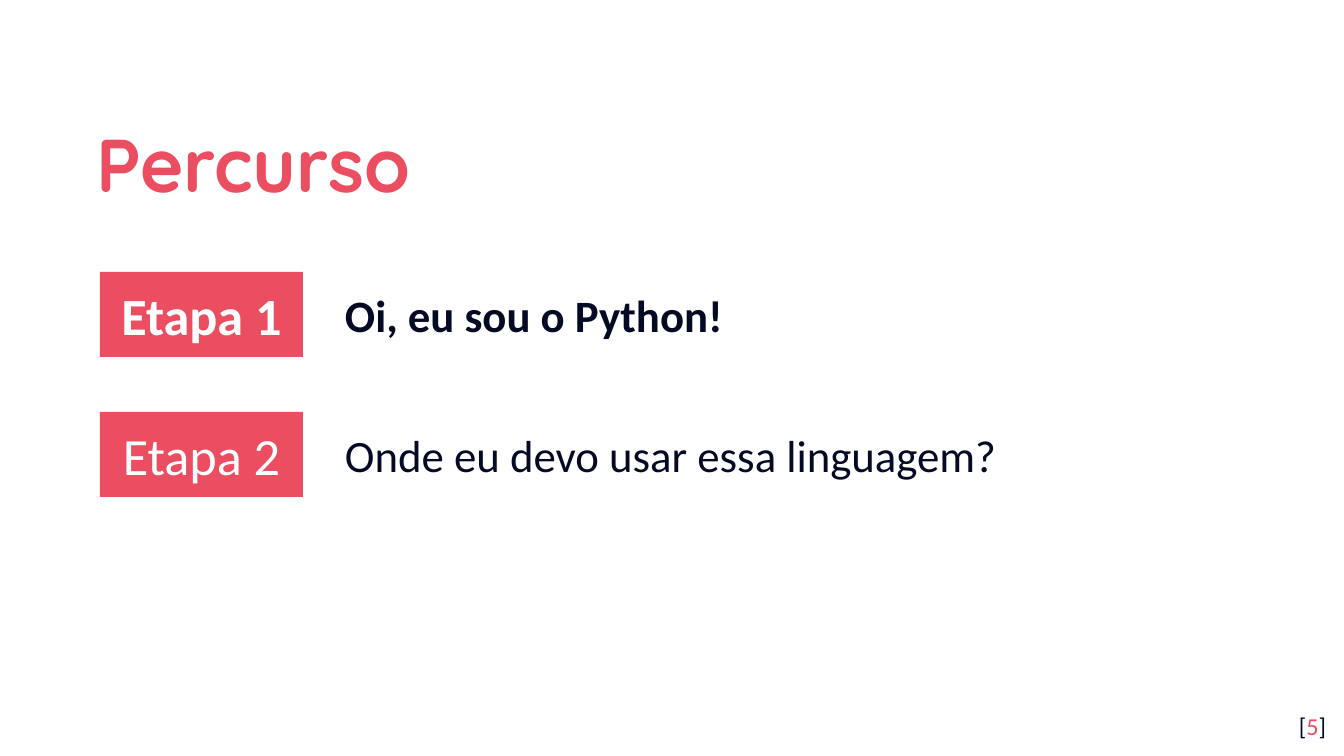
from dataclasses import dataclass

from pptx import Presentation
from pptx.dml.color import RGBColor
from pptx.enum.shapes import MSO_SHAPE
from pptx.enum.text import MSO_ANCHOR, PP_ALIGN
from pptx.util import Emu, Pt


@dataclass(frozen=True)
class Theme:
    coral: str = "EA4E60"
    navy: str = "040A24"
    white: str = "FFFFFF"
    heading_font: str = "Quicksand"
    body_font: str = "Calibri"
    title_size: int = 40
    badge_size: int = 28
    topic_size: int = 24
    number_size: int = 13


theme = Theme()
EMU_PER_PX = 914400 / 134.4


def px(*lengths):
    return [Emu(round(length * EMU_PER_PX)) for length in lengths]


def write(text, *, box, size, color=theme.navy, font=theme.body_font, bold=False,
          fill=None, align=PP_ALIGN.LEFT, anchor=MSO_ANCHOR.TOP, inset=13, spacing=None):
    if fill:
        holder = slide.shapes.add_shape(MSO_SHAPE.RECTANGLE, *px(*box))
        holder.shadow.inherit = False
        holder.fill.solid()
        holder.fill.fore_color.rgb = RGBColor.from_string(fill)
        holder.line.fill.background()
    else:
        holder = slide.shapes.add_textbox(*px(*box))
    frame = holder.text_frame
    frame.word_wrap = True
    frame.vertical_anchor = anchor
    frame.margin_left, frame.margin_right = px(13, 13)
    frame.margin_top, frame.margin_bottom = px(inset, inset)
    paragraph = frame.paragraphs[0]
    paragraph.alignment = align
    if spacing:
        paragraph.line_spacing = spacing
    pieces = [(text, color)] if isinstance(text, str) else text
    for words, tint in pieces:
        run = paragraph.add_run()
        run.text = words
        run.font.name = font
        run.font.size = Pt(size)
        run.font.bold = bold
        run.font.color.rgb = RGBColor.from_string(tint)


deck = Presentation()
deck.slide_width, deck.slide_height = px(1344, 756)
slide = deck.slides.add_slide(deck.slide_layouts[6])
slide.background.fill.solid()
slide.background.fill.fore_color.rgb = RGBColor.from_string(theme.white)

write("Percurso", box=(83, 94, 1089, 124), size=theme.title_size, color=theme.coral,
      font=theme.heading_font, bold=True, anchor=MSO_ANCHOR.MIDDLE, spacing=1.15)

stages = [
    ("Etapa 1", "Oi, eu sou o Python!", True),
    ("Etapa 2", "Onde eu devo usar essa linguagem?", False),
]
for row, (stage, topic, current) in enumerate(stages):
    top = 272 + row * 140
    write(stage, box=(100, top, 203, 85), size=theme.badge_size, color=theme.white,
          bold=current, fill=theme.coral, align=PP_ALIGN.CENTER, anchor=MSO_ANCHOR.MIDDLE)
    write(topic, box=(332, top + 9, 907, 67), size=theme.topic_size, bold=current, inset=7)

write([("[", theme.navy), ("5", theme.coral), ("]", theme.navy)],
      box=(1258, 698, 81, 58), size=theme.number_size, align=PP_ALIGN.RIGHT)

deck.save("out.pptx")
